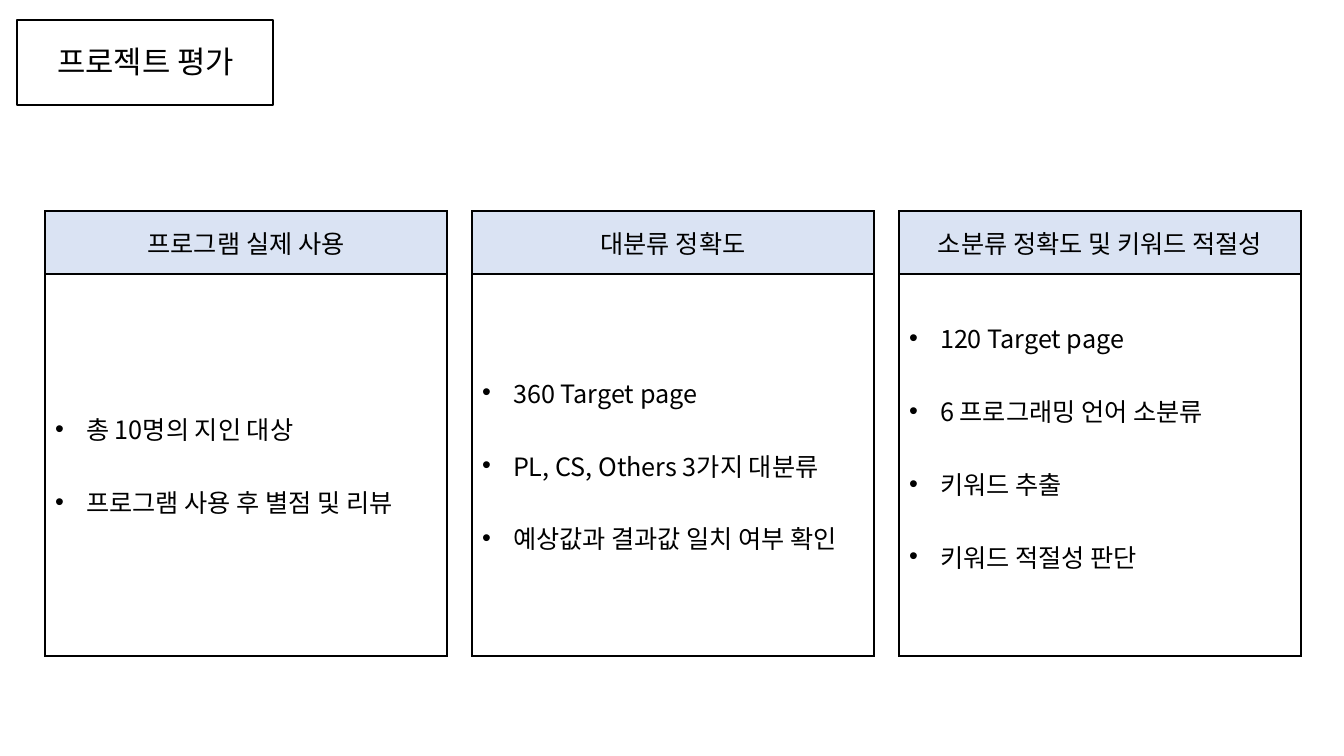
from lxml import etree
from pptx import Presentation, util as u
from pptx.dml.color import RGBColor
from pptx.enum import shapes, text
from pptx.oxml import ns

COLORS = {"ink": "000000", "heading": "DAE3F3"}
FONT = "Noto Sans CJK KR"
EMU_PER_PX = 12192000 / 1344

CRITERIA = [
    ("프로그램 실제 사용",
     ["총 10명의 지인 대상", "프로그램 사용 후 별점 및 리뷰"], 5),
    ("대분류 정확도",
     ["360 Target page", "PL, CS, Others 3가지 대분류", "예상값과 결과값 일치 여부 확인"], 5),
    ("소분류 정확도 및 키워드 적절성",
     ["120 Target page", "6 프로그래밍 언어 소분류", "키워드 추출", "키워드 적절성 판단"], 41),
]


def px(length):
    """Turn a length in px into EMU."""
    return u.Emu(round(length * EMU_PER_PX))


def color(name):
    """Look up a named colour."""
    return RGBColor.from_string(COLORS[name])


def write(frame, lines, size=18, align=text.PP_ALIGN.CENTER, bullet=False, gap=0):
    """Write lines as paragraphs of a text frame."""
    frame.word_wrap = True
    for index, line in enumerate(lines):
        paragraph = frame.paragraphs[0] if index == 0 else frame.add_paragraph()
        paragraph.alignment = align
        if index and gap:
            paragraph.space_before = u.Pt(gap)
        if bullet:
            properties = paragraph._p.get_or_add_pPr()
            properties.set("marL", str(px(31)))
            properties.set("indent", str(-px(31)))
            etree.SubElement(properties, ns.qn("a:buFont"), typeface="Arial")
            etree.SubElement(properties, ns.qn("a:buChar"), char="•")
        run = paragraph.add_run()
        run.text = line
        run.font.size = u.Pt(size)
        run.font.name = FONT
        run.font.color.rgb = color("ink")
        etree.SubElement(run._r.get_or_add_rPr(), ns.qn("a:ea"), typeface=FONT)


def outline(cell):
    """Draw a thin line on all four sides of a table cell."""
    properties = cell._tc.get_or_add_tcPr()
    for side in ("lnL", "lnR", "lnT", "lnB"):
        border = etree.SubElement(properties, ns.qn(f"a:{side}"), w=str(u.Pt(1)))
        fill = etree.SubElement(border, ns.qn("a:solidFill"))
        etree.SubElement(fill, ns.qn("a:srgbClr"), val=COLORS["ink"])


def add_title(slide, left, top, width, height):
    """Place the framed slide title."""
    title = slide.shapes.add_textbox(px(left + 7), px(top + 21), px(width - 13), px(height))
    write(title.text_frame, ["프로젝트 평가"], size=22)
    title.top = px(top + 18)
    frame = slide.shapes.add_shape(
        shapes.MSO_SHAPE.RECTANGLE, px(left), px(top), px(width), px(height))
    frame.shadow.inherit = False
    frame.fill.background()
    frame.line.color.rgb = color("ink")
    frame.line.width = u.Pt(2)


def add_criterion(slide, left, top, width, height, heading, points, bottom_margin):
    """Place one criterion table with its heading above its points."""
    heading_height = 63
    table = slide.shapes.add_table(2, 1, px(left), px(top), px(width), px(height)).table
    table.first_row = table.horz_banding = False
    table.rows[0].height = px(heading_height)
    table.rows[1].height = px(height - heading_height)
    heading_cell, points_cell = table.cell(0, 0), table.cell(1, 0)
    for cell in (heading_cell, points_cell):
        outline(cell)
        cell.vertical_anchor = text.MSO_ANCHOR.MIDDLE
    heading_cell.fill.solid()
    heading_cell.fill.fore_color.rgb = color("heading")
    points_cell.fill.background()
    points_cell.margin_bottom = px(bottom_margin)
    write(heading_cell.text_frame, [heading])
    write(points_cell.text_frame, points, align=text.PP_ALIGN.JUSTIFY, bullet=True, gap=26)


def main():
    """Build the project evaluation slide."""
    deck = Presentation()
    deck.slide_width, deck.slide_height = px(1344), px(756)
    slide = deck.slides.add_slide(deck.slide_layouts[6])
    width, gutter = 402, 25
    for index, criterion in enumerate(CRITERIA):
        add_criterion(slide, 45 + index * (width + gutter), 211, width, 445, *criterion)
    add_title(slide, 17, 20, 256, 85)
    deck.save("out.pptx")


if __name__ == "__main__":
    main()
